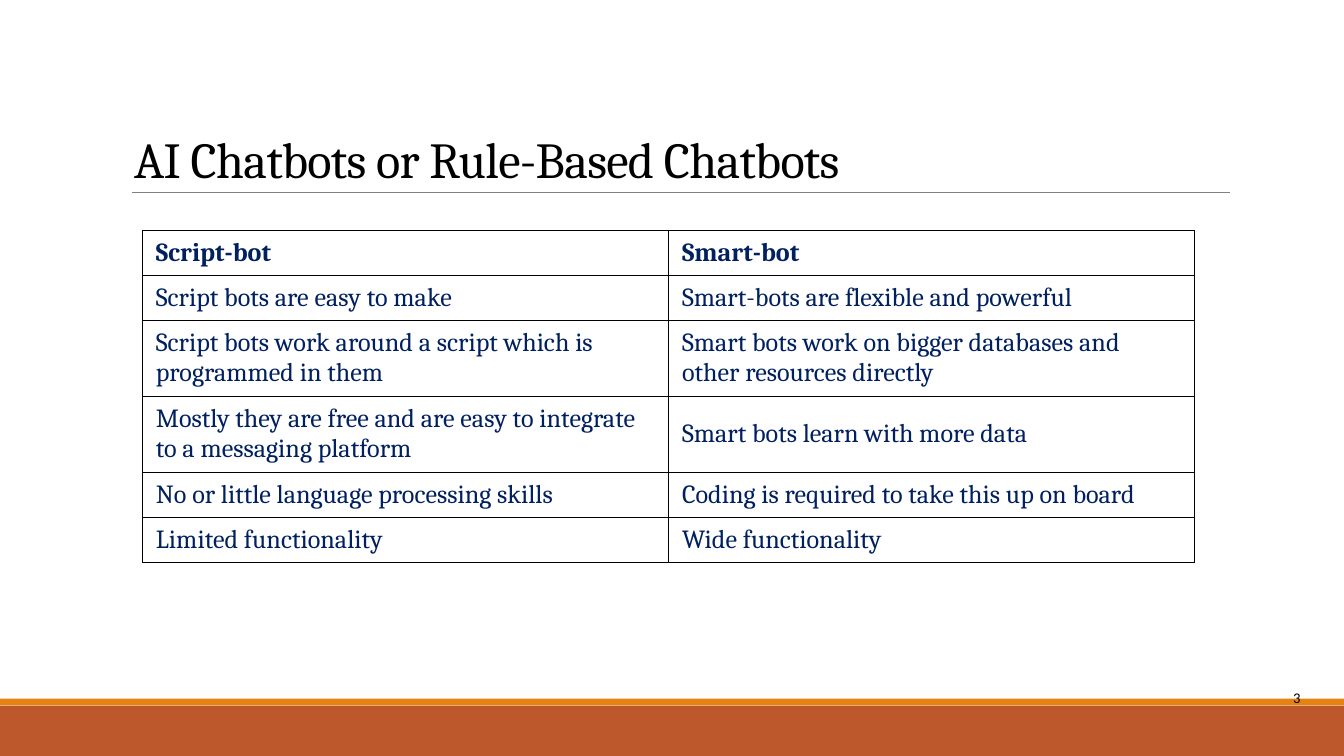
from dataclasses import dataclass

from lxml.etree import SubElement
from pptx import Presentation
from pptx.dml.color import RGBColor
from pptx.enum.shapes import MSO_CONNECTOR, MSO_SHAPE
from pptx.enum.text import MSO_ANCHOR, PP_ALIGN
from pptx.oxml.ns import qn
from pptx.slide import Slide
from pptx.table import _Cell
from pptx.text.text import _Paragraph
from pptx.util import Inches, Pt

SLIDE_WIDTH = 10
SLIDE_HEIGHT = SLIDE_WIDTH * 9 / 16

BLACK = RGBColor(0x00, 0x00, 0x00)
NAVY = RGBColor(0x00, 0x20, 0x60)
GRAY = RGBColor(0x80, 0x80, 0x80)
RUST = RGBColor(0xBD, 0x58, 0x2C)
ORANGE = RGBColor(0xE4, 0x83, 0x12)

LINE_HEIGHT = 0.22
CELL_MARGIN = 0.05

COMPARISON = [
    ("Script-bot", "Smart-bot"),
    ("Script bots are easy to make", "Smart-bots are flexible and powerful"),
    ("Script bots work around a script which is\nprogrammed in them",
     "Smart bots work on bigger databases and other resources directly"),
    ("Mostly they are free and are easy to integrate to a messaging platform",
     "Smart bots learn with more data"),
    ("No or little language processing skills", "Coding is required to take this up on board"),
    ("Limited functionality", "Wide functionality"),
]
ROW_LINES = [1, 1, 2, 2, 1, 1]


@dataclass(frozen=True)
class PercentArea:
    left: float
    top: float
    width: float
    height: float

    def lengths(self) -> tuple[int, int, int, int]:
        return (
            Inches(self.left * SLIDE_WIDTH / 100),
            Inches(self.top * SLIDE_HEIGHT / 100),
            Inches(self.width * SLIDE_WIDTH / 100),
            Inches(self.height * SLIDE_HEIGHT / 100),
        )


@dataclass(frozen=True)
class TextStyle:
    font: str
    size: float
    color: RGBColor
    bold: bool = False
    spacing: float = 0


@dataclass(frozen=True)
class Band:
    area: PercentArea
    color: RGBColor


@dataclass(frozen=True)
class Label:
    text: str
    area: PercentArea
    style: TextStyle
    align: PP_ALIGN = PP_ALIGN.LEFT
    anchor: MSO_ANCHOR = MSO_ANCHOR.TOP
    line_spacing: float = 1.0


BANDS = [
    Band(PercentArea(0, 93.35, 100, 6.65), RUST),
    Band(PercentArea(0, 92.4, 100, 0.9), ORANGE),
]
LABELS = [
    Label("AI Chatbots or Rule-Based Chatbots", PercentArea(9, 16.4, 82.1, 12.45),
          TextStyle("Cambria", 27, BLACK, spacing=-0.38), line_spacing=0.85),
    Label("3", PercentArea(91.75, 88.4, 6, 7.65), TextStyle("Calibri", 7.9, BLACK),
          PP_ALIGN.RIGHT, MSO_ANCHOR.MIDDLE),
]


def add_text(paragraph: _Paragraph, text: str, style: TextStyle) -> None:
    for index, line in enumerate(text.split("\n")):
        if index:
            paragraph.add_line_break()
        run = paragraph.add_run()
        run.text = line
        run.font.name = style.font
        run.font.size = Pt(style.size)
        run.font.bold = style.bold
        run.font.color.rgb = style.color
        if style.spacing:
            run.font._element.set("spc", str(round(style.spacing * 100)))


def add_band(slide: Slide, band: Band) -> None:
    shape = slide.shapes.add_shape(MSO_SHAPE.RECTANGLE, *band.area.lengths())
    shape.shadow.inherit = False
    shape.fill.solid()
    shape.fill.fore_color.rgb = band.color
    shape.line.fill.background()


def add_rule(slide: Slide, left: float, right: float, top: float) -> None:
    start, level, width, _ = PercentArea(left, top, right - left, 0).lengths()
    connector = slide.shapes.add_connector(
        MSO_CONNECTOR.STRAIGHT, start, level, start + width, level)
    connector.line.color.rgb = GRAY
    connector.line.width = Pt(0.5)
    SubElement(connector._element.spPr, qn("a:effectLst"))


def add_label(slide: Slide, label: Label) -> None:
    frame = slide.shapes.add_textbox(*label.area.lengths()).text_frame
    frame.word_wrap = True
    frame.vertical_anchor = label.anchor
    frame.margin_left = frame.margin_right = Inches(0.1)
    frame.margin_top = frame.margin_bottom = Inches(0.1)
    paragraph = frame.paragraphs[0]
    paragraph.alignment = label.align
    paragraph.line_spacing = label.line_spacing
    add_text(paragraph, label.text, label.style)


def add_borders(cell: _Cell) -> None:
    properties = cell._tc.get_or_add_tcPr()
    for side in ("lnL", "lnR", "lnT", "lnB"):
        border = SubElement(properties, qn(f"a:{side}"), w=str(Pt(0.5)))
        fill = SubElement(border, qn("a:solidFill"))
        SubElement(fill, qn("a:srgbClr"), val=str(BLACK))


def add_comparison(slide: Slide) -> None:
    heights = [lines * LINE_HEIGHT + 2 * CELL_MARGIN for lines in ROW_LINES]
    area = PercentArea(10.6, 30.45, 78.3, sum(heights) * 100 / SLIDE_HEIGHT)
    table = slide.shapes.add_table(
        len(COMPARISON), len(COMPARISON[0]), *area.lengths()).table
    table.first_row = False
    table.horz_banding = False
    for row_index, (row, height) in enumerate(zip(table.rows, heights)):
        row.height = Inches(height)
        style = TextStyle("Cambria", 14, NAVY, bold=row_index == 0)
        for cell, text in zip(row.cells, COMPARISON[row_index]):
            cell.vertical_anchor = MSO_ANCHOR.MIDDLE
            cell.margin_top = cell.margin_bottom = Inches(CELL_MARGIN)
            add_borders(cell)
            cell.fill.background()
            add_text(cell.text_frame.paragraphs[0], text, style)


def main() -> None:
    presentation = Presentation()
    presentation.slide_width = Inches(SLIDE_WIDTH)
    presentation.slide_height = Inches(SLIDE_HEIGHT)
    slide = presentation.slides.add_slide(presentation.slide_layouts[6])
    for band in BANDS:
        add_band(slide, band)
    add_rule(slide, 9.8, 91.5, 25.4)
    for label in LABELS:
        add_label(slide, label)
    add_comparison(slide)
    presentation.save("out.pptx")


if __name__ == "__main__":
    main()
